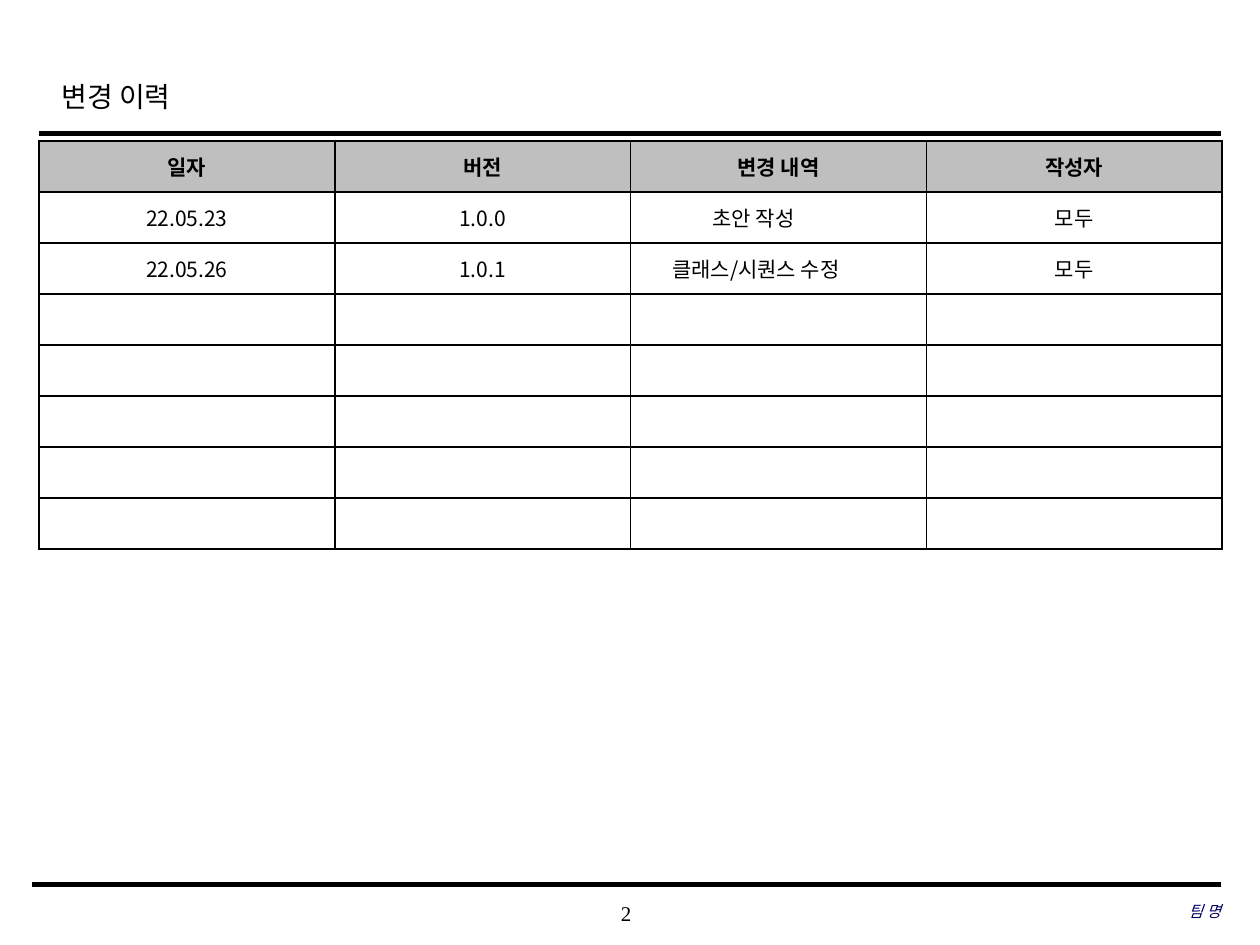
"""Build the change history slide with its revision table."""
from dataclasses import dataclass

from lxml import etree
from pptx import Presentation
from pptx import util as u
from pptx.dml.color import RGBColor
from pptx.enum import shapes, text
from pptx.oxml import ns


@dataclass(frozen=True)
class Theme:
    ink: str = "000000"
    team: str = "000066"
    header: str = "BFBFBF"
    paper: str = "FFFFFF"
    latin: str = "Times New Roman"
    korean: str = "Noto Sans CJK KR"
    title_size: int = 16
    body_size: int = 12
    team_size: int = 9
    border: int = 1


@dataclass(frozen=True)
class Rule:
    left: float
    right: float
    top: float
    weight: float


@dataclass(frozen=True)
class Label:
    content: str
    left: float
    top: float
    width: float
    height: float
    size: int
    align: text.PP_ALIGN
    color: str = "000000"
    italic: bool = False
    inset: tuple[float, float] = (0, 0)
    line_spacing: float = 1.0


@dataclass(frozen=True)
class Entry:
    content: str
    indent: float | None = None


THEME = Theme()
CENTER, LEFT, RIGHT = text.PP_ALIGN.CENTER, text.PP_ALIGN.LEFT, text.PP_ALIGN.RIGHT
RULES = [Rule(0.31, 9.69, 1.06, 2.5), Rule(0.25, 9.69, 7.02, 3)]
LABELS = [
    Label("2", 3.93, 7.08, 2.08, 0.33, THEME.body_size, CENTER),
    Label("변경 이력", 0.39, 0.49, 7.55, 0.5, THEME.title_size, LEFT,
          inset=(0.1, 0.05), line_spacing=1.2),
    Label("팀 명", 6.63, 7.07, 3.06, 0.33, THEME.team_size, RIGHT, THEME.team, True),
]
HISTORY = [
    [Entry("일자"), Entry("버전"), Entry("변경 내역"), Entry("작성자")],
    [Entry("22.05.23"), Entry("1.0.0"), Entry("초안 작성", 0.65), Entry("모두")],
    [Entry("22.05.26"), Entry("1.0.1"), Entry("클래스/시퀀스 수정", 0.33), Entry("모두")],
]
ROW_COUNT, COLUMN_COUNT = 8, 4
TABLE_LEFT, TABLE_TOP, TABLE_WIDTH, TABLE_HEIGHT = 0.31, 1.12, 9.39, 3.24


def format_run(run, latin: str, size: int, color: str,
               bold: bool = False, italic: bool = False) -> None:
    """Set the type of one run, with the Korean face for Hangul."""
    font = run.font
    font.name, font.size = latin, u.Pt(size)
    font.bold, font.italic = bold, italic
    font.color.rgb = RGBColor.from_string(color)
    properties = run._r.get_or_add_rPr()
    etree.SubElement(properties, ns.qn("a:ea"), typeface=THEME.korean)


def draw_rule(slide, rule: Rule) -> None:
    """Draw a heavy horizontal line."""
    line = slide.shapes.add_connector(
        shapes.MSO_CONNECTOR.STRAIGHT, u.Inches(rule.left), u.Inches(rule.top),
        u.Inches(rule.right), u.Inches(rule.top))
    line.line.color.rgb = RGBColor.from_string(THEME.ink)
    line.line.width = u.Pt(rule.weight)
    etree.SubElement(line._element.spPr, ns.qn("a:effectLst"))


def draw_label(slide, label: Label) -> None:
    """Draw a single line of text in a box."""
    box = slide.shapes.add_textbox(
        u.Inches(label.left), u.Inches(label.top),
        u.Inches(label.width), u.Inches(label.height))
    frame = box.text_frame
    frame.word_wrap = True
    frame.vertical_anchor = text.MSO_ANCHOR.MIDDLE
    frame.margin_left = frame.margin_right = u.Inches(label.inset[0])
    frame.margin_top = frame.margin_bottom = u.Inches(label.inset[1])
    frame.text = label.content
    paragraph = frame.paragraphs[0]
    paragraph.alignment = label.align
    paragraph.line_spacing = label.line_spacing
    format_run(paragraph.runs[0], THEME.latin, label.size, label.color,
               italic=label.italic)


def set_borders(cell) -> None:
    """Outline all four sides of a cell."""
    properties = cell._tc.get_or_add_tcPr()
    for side in ("lnL", "lnR", "lnT", "lnB"):
        line = etree.SubElement(properties, ns.qn(f"a:{side}"),
                                w=str(u.Pt(THEME.border)))
        fill = etree.SubElement(line, ns.qn("a:solidFill"))
        etree.SubElement(fill, ns.qn("a:srgbClr"), val=THEME.ink)


def fill_cell(cell, entry: Entry, bold: bool) -> None:
    """Write an entry, centred unless it has its own indent."""
    cell.text_frame.text = entry.content
    paragraph = cell.text_frame.paragraphs[0]
    paragraph.alignment = CENTER if entry.indent is None else LEFT
    if entry.indent is not None:
        cell.margin_left = u.Inches(entry.indent)
    format_run(paragraph.runs[0], THEME.korean, THEME.body_size, THEME.ink, bold)


def draw_history(slide) -> None:
    """Draw the revision table with its spare rows."""
    table = slide.shapes.add_table(
        ROW_COUNT, COLUMN_COUNT, u.Inches(TABLE_LEFT), u.Inches(TABLE_TOP),
        u.Inches(TABLE_WIDTH), u.Inches(TABLE_HEIGHT)).table
    table.horz_banding = False
    for row in range(ROW_COUNT):
        for column in range(COLUMN_COUNT):
            cell = table.cell(row, column)
            cell.vertical_anchor = text.MSO_ANCHOR.MIDDLE
            set_borders(cell)
            cell.fill.solid()
            color = THEME.header if row == 0 else THEME.paper
            cell.fill.fore_color.rgb = RGBColor.from_string(color)
            if row < len(HISTORY):
                fill_cell(cell, HISTORY[row][column], bold=row == 0)


def main() -> None:
    """Build and save the presentation."""
    presentation = Presentation()
    presentation.slide_width, presentation.slide_height = u.Inches(10), u.Inches(7.5)
    slide = presentation.slides.add_slide(presentation.slide_layouts[6])
    for rule in RULES:
        draw_rule(slide, rule)
    for label in LABELS:
        draw_label(slide, label)
    draw_history(slide)
    presentation.save("out.pptx")


if __name__ == "__main__":
    main()
